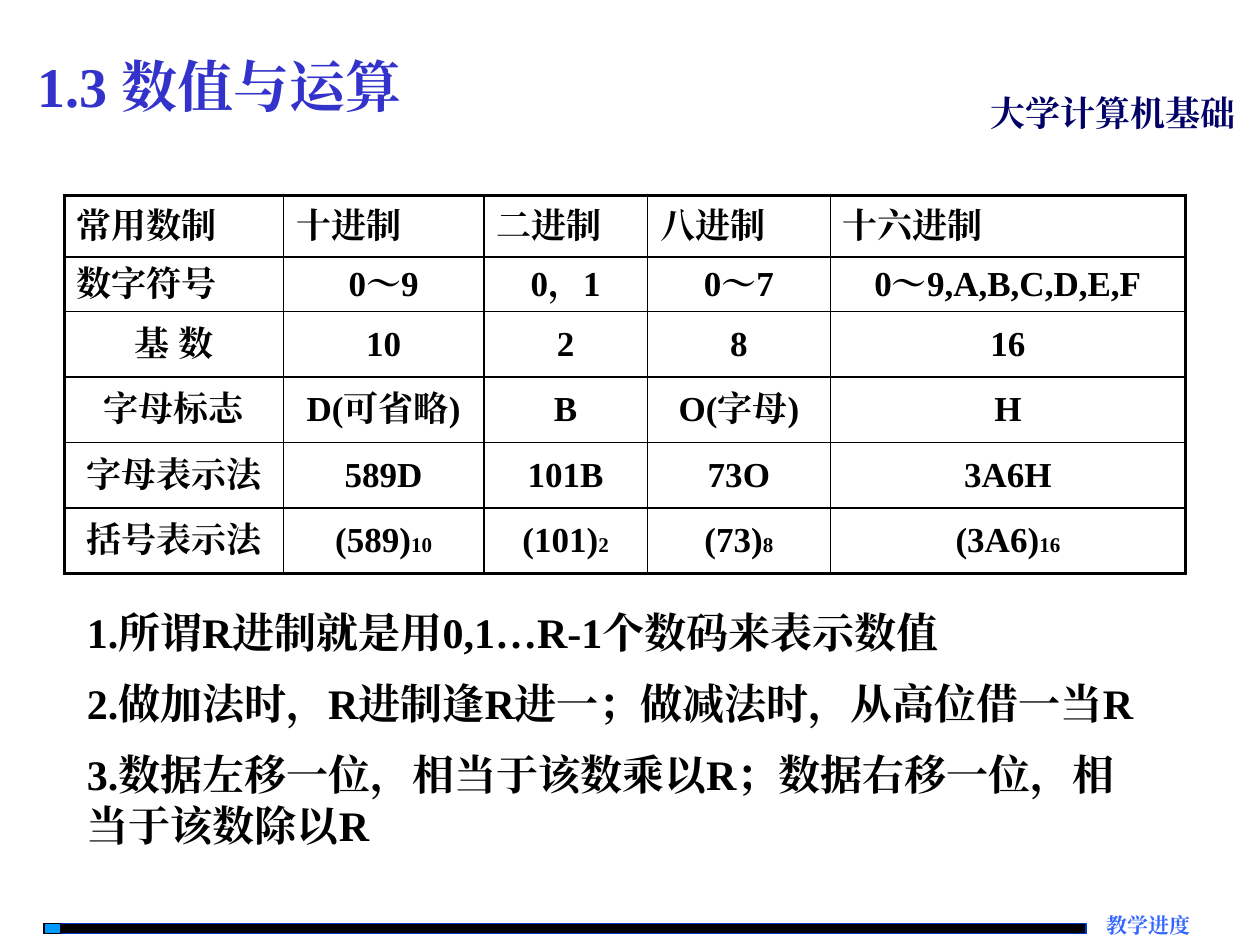
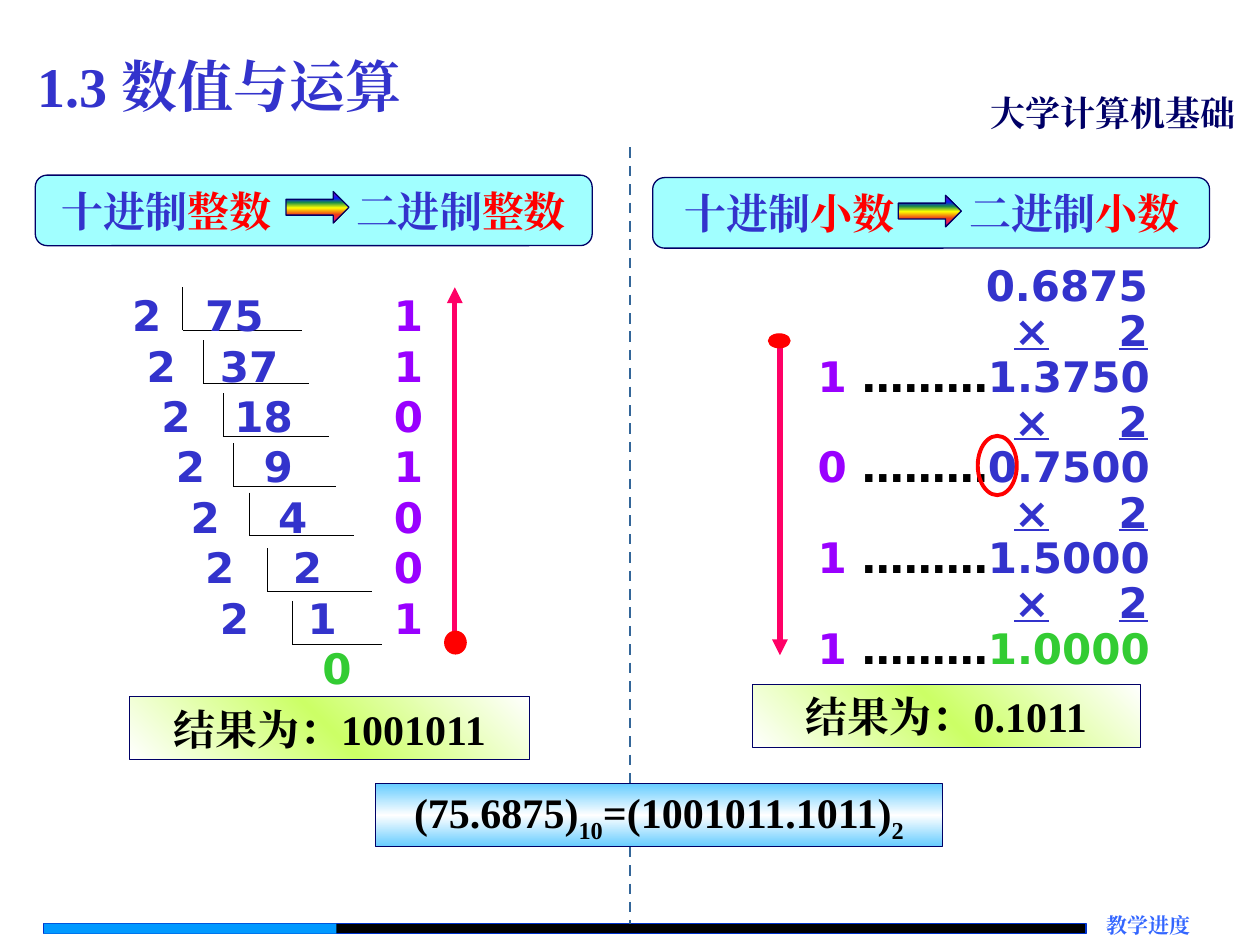
from itertools import zip_longest
from lxml.etree import SubElement as Sub
from pptx import Presentation
from pptx.dml.color import RGBColor
from pptx.enum.dml import MSO_LINE as Dash
from pptx.enum.shapes import MSO_CONNECTOR as Wire, MSO_SHAPE as Form
from pptx.enum.text import MSO_ANCHOR as Hold, PP_ALIGN as Side
from pptx.oxml.ns import qn
from pptx.util import Inches, Pt

hue = RGBColor.from_string
deck = Presentation()
deck.slide_width, deck.slide_height = Inches(10), Inches(7.5)
unit = deck.slide_width / 100

TIMES, SANS = "Times New Roman", "DejaVu Sans"
BLACK, NAVY, BLUE = "000000", "000066", "3333CC"
RED, PINK, PURPLE, GREEN = "FF0000", "FF0066", "9900FF", "33CC33"
AQUA, SKY, ROYAL, LINK = "A1FFFF", "0099FF", "0033CC", "3366FF"
LIME = 315, [(0, "FFFFFF"), (50, "CCFF66"), (100, "FFFFFF")]
ICE = 90, [(0, "66CCFF"), (50, "FFFFFF"), (100, "66CCFF")]
RAINBOW = 90, [(0, "A603AB"), (21, "0819FB"), (35, "1A8D48"), (52, "FFFF00"),
               (73, "EE3F17"), (88, "E81766"), (100, "A603AB")]


def draw(page, form, box, fill=None, edge=None, width=0.75):
    spot = [round(n * unit) for n in box]
    if form is None:
        return page.shapes.add_textbox(*spot)
    shape = page.shapes.add_shape(form, *spot)
    shape.shadow.inherit = False
    if fill is None:
        shape.fill.background()
    elif isinstance(fill, str):
        shape.fill.solid()
        shape.fill.fore_color.rgb = hue(fill)
    else:
        shape.fill.gradient()
        grad = shape._element.spPr.find(qn("a:gradFill"))
        stops = grad.find(qn("a:gsLst"))
        stops.clear()
        for share, tone in fill[1]:
            stop = Sub(stops, qn("a:gs"), pos=str(share * 1000))
            Sub(stop, qn("a:srgbClr"), val=tone)
        grad.find(qn("a:lin")).set("ang", str(fill[0] * 60000))
    if edge is None:
        shape.line.fill.background()
    else:
        shape.line.color.rgb = hue(edge)
        shape.line.width = Pt(width)
    return shape


def ink(frame, rows, size, face=TIMES, side=Side.LEFT, hold=Hold.TOP,
        pad=(1, 0.5), gap=0, pitch=None, stops=()):
    frame.word_wrap = True
    frame.vertical_anchor = hold
    frame.margin_left = frame.margin_right = round(pad[0] * unit)
    frame.margin_top = frame.margin_bottom = round(pad[1] * unit)
    for i, (row, tabs) in enumerate(zip_longest(rows, stops, fillvalue=())):
        para = frame.add_paragraph() if i else frame.paragraphs[0]
        para.alignment = side
        if tabs:
            tray = Sub(para._p.get_or_add_pPr(), qn("a:tabLst"))
            for x, kind in tabs:
                Sub(tray, qn("a:tab"), pos=str(round(x * unit)), algn=kind)
        para.space_before = Pt(gap if i else 0)
        if pitch:
            para.line_spacing = Pt(pitch)
        for text, tone, *marks in row:
            run = para.add_run()
            run.text = text
            font = run.font
            font.name, font.size, font.bold = face, Pt(size), True
            font.color.rgb = hue(tone)
            props = run._r.get_or_add_rPr()
            Sub(props, qn("a:ea"), typeface=face)
            for key, value in marks:
                props.set(key, value)


pages = []
for done, rim in (1.3, BLACK), (23.2, None):
    page = deck.slides.add_slide(deck.slide_layouts[5])
    pages.append(page)
    title = page.shapes.title
    title.left, title.top, title.width, title.height = [
        round(n * unit) for n in (2, 3.6, 45.7, 6.3)]
    ink(title.text_frame, [[("1.3 数值与运算", BLUE)]], 32)
    draw(page, Form.RECTANGLE, (3.5, 73.3, 82.7, 0.8), BLACK, ROYAL)
    draw(page, Form.RECTANGLE, (3.5, 73.3, done, 0.8), SKY, rim)
    note = draw(page, None, (86.2, 72.4, 8.3, 2.1))
    ink(note.text_frame, [[("教学进度", LINK)]], 12, side=Side.RIGHT, pad=(0, 0))
    course = draw(page, None, (77.6, 6.8, 22.4, 4.3))
    ink(course.text_frame, [[("大学计算机基础", NAVY)]], 20)
bases, steps = pages

cells = [
    ["常用数制", "十进制", "二进制", "八进制", "十六进制"],
    ["数字符号", "0～9", "0，1", "0～7", "0～9,A,B,C,D,E,F"],
    ["基 数", "10", "2", "8", "16"],
    ["字母标志", "D(可省略)", "B", "O(字母)", "H"],
    ["字母表示法", "589D", "101B", "73O", "3A6H"],
    ["括号表示法", "(589)_10", "(101)_2", "(73)_8", "(3A6)_16"],
]
wide, tall = [17.4, 15.9, 13, 14.5, 28.2], [4.9, 4.3] + [5.2] * 4
place = [round(n * unit) for n in (5.1, 15.5, sum(wide), sum(tall))]
grid = bases.shapes.add_table(len(tall), len(wide), *place).table
grid.first_row = grid.horz_banding = False
for col, w in zip(grid.columns, wide):
    col.width = round(w * unit)
for row, h in zip(grid.rows, tall):
    row.height = round(h * unit)
for r, line in enumerate(cells):
    for c, text in enumerate(line):
        cell = grid.cell(r, c)
        props = cell._tc.get_or_add_tcPr()
        outer = c == 0, c == len(wide) - 1, r == 0, r == len(tall) - 1
        for name, thick in zip("LRTB", outer):
            edge = Sub(props, qn("a:ln" + name), w=str(Pt(2.25 if thick else 1)))
            Sub(Sub(edge, qn("a:solidFill")), qn("a:srgbClr"), val=BLACK)
        cell.fill.background()
        cell.vertical_anchor = Hold.MIDDLE
        main, _, base = text.partition("_")
        runs = [(main, BLACK)]
        if base:
            runs.append((base, BLACK, ("sz", "1200")))
        left = r == 0 or (r == 1 and c == 0)
        ink(cell.text_frame, [runs], 20, side=Side.LEFT if left else Side.CENTER,
            hold=None)

rules = ["1.所谓R进制就是用0,1…R-1个数码来表示数值",
         "2.做加法时，R进制逢R进一；做减法时，从高位借一当R",
         "3.数据左移一位，相当于该数乘以R；数据右移一位，相当于该数除以R"]
body = draw(bases, None, (5.9, 47.7, 86.1, 20.5))
ink(body.text_frame, [[(rule, BLACK)] for rule in rules], 24, gap=12, pitch=28.6)

lines = [(50, 11.7, 50, 73.3, "336699", 1.5, Dash.DASH, False),
         (36.1, 51, 36.1, 22.8, PINK, 3, None, True),
         (61.9, 27, 61.9, 52, PINK, 3, None, True)]
for x, y, end in ((14.5, 26.2, 24), (16.1, 30.4, 24.5), (17.7, 34.6, 26.1),
                  (18.5, 38.6, 26.7), (19.8, 42.5, 28.1), (21.2, 46.9, 29.5),
                  (23.2, 51.1, 30.3)):
    lines.append((x, y - 3.4, x, y, BLACK, 0.25, None, False))
    lines.append((x, y, end, y, BLACK, 0.25, None, False))
for *ends, tone, width, dash, tip in lines:
    wire = steps.shapes.add_connector(Wire.STRAIGHT, *[round(n * unit) for n in ends])
    wire.line.color.rgb = hue(tone)
    wire.line.width = Pt(width)
    if dash:
        wire.line.dash_style = dash
    if tip:
        Sub(wire.line._get_or_add_ln(), qn("a:tailEnd"), type="triangle")
    Sub(wire._element.spPr, qn("a:effectLst"))

for x, y, kind, tabs, arrow in (
        (2.8, 13.9, "整数", (0.8, 24.2), (22.7, 15.2)),
        (51.8, 14.1, "小数", (1.3, 23.9), (71.3, 15.5))):
    head = draw(steps, Form.ROUNDED_RECTANGLE, (x, y, 44.2, 5.6), AQUA, NAVY)
    ink(head.text_frame, [[("\t十进制", BLUE), (kind, RED),
                           ("\t二进制", BLUE), (kind, RED)]], 24,
        hold=Hold.MIDDLE, stops=[[(tab, "l") for tab in tabs]])
    draw(steps, Form.RIGHT_ARROW, (*arrow, 5, 2.5), RAINBOW, NAVY)

rows, stops = [], []
for i, (num, bit) in enumerate(zip("75 37 18 9 4 2 1".split(), "1101001")):
    rows.append([("\t2\t" + num, BLUE), ("\t" + bit, PURPLE)])
    shift = 1.16 * i
    stops.append([(shift, "l"), (5.8 + shift + 1.16 * (2 - len(num)), "l"),
                  (23.1, "r")])
rows.append([("\t0", GREEN)])
stops.append([(15.1, "l")])
stops[0] = stops[0][1:]
rows[0][0] = ("2\t75", BLUE)
halve = draw(steps, None, (9.5, 22.5, 27.5, 33))
ink(halve.text_frame, rows, 24, SANS, hold=Hold.MIDDLE, pitch=28.8, stops=stops)

rows, stops = [[("\t0.6875", BLUE)]], [[(36.2, "r")]]
for num, tone in (("1.3750", BLUE), ("0.7500", BLUE), ("1.5000", BLUE),
                  ("1.0000", GREEN)):
    rows.append([("\t", BLUE), ("\t×\t2", BLUE, ("u", "sng"))])
    stops.append([(19.5, "l"), (25.6, "l"), (36.2, "r")])
    rows.append([("\t" + num[0], PURPLE), ("\t………", BLACK), (num, tone)])
    stops.append([(10, "l"), (13.5, "l")])
double = draw(steps, None, (54.7, 21, 38, 32.3))
ink(double.text_frame, rows, 24, SANS, pad=(0.2, 0), pitch=25.9, stops=stops)

for box, fill, runs in (
        ((10.3, 55.3, 31.7, 5), LIME, [("结果为：1001011", BLACK)]),
        ((59.7, 54.3, 30.8, 5), LIME, [("结果为：0.1011", BLACK)]),
        ((29.8, 62.2, 45, 5), ICE,
         [("(75.6875)", BLACK), ("10", BLACK, ("baseline", "-25000")),
          ("=(1001011.1011)", BLACK), ("2", BLACK, ("baseline", "-25000"))])):
    sum_box = draw(steps, Form.RECTANGLE, box, fill, NAVY, 0.25)
    ink(sum_box.text_frame, [runs], 24, side=Side.CENTER, hold=Hold.MIDDLE)

draw(steps, Form.OVAL, (35.3, 50.1, 1.7, 1.8), RED, RED)
draw(steps, Form.OVAL, (61, 26.5, 1.7, 1.1), RED, RED)
draw(steps, Form.OVAL, (77.6, 34.6, 3.1, 4.7), None, RED, 2.25)

deck.save("out.pptx")
